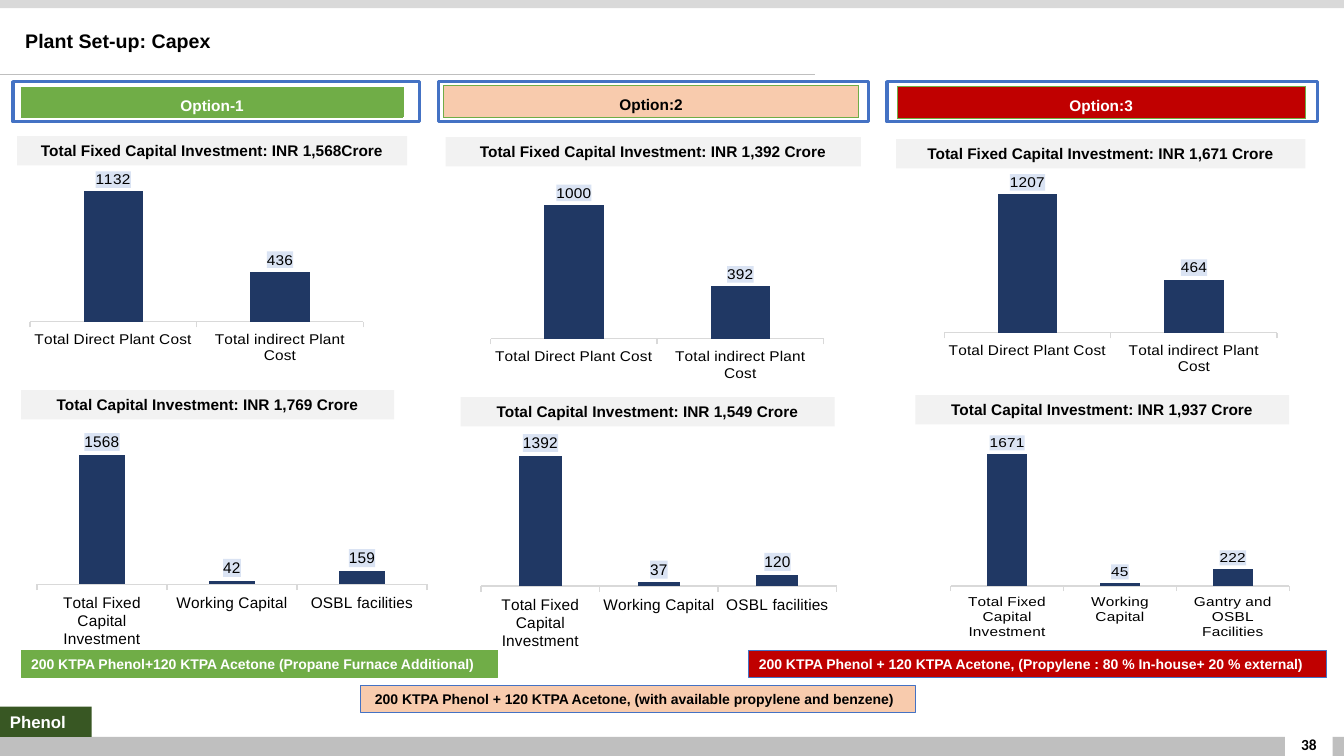
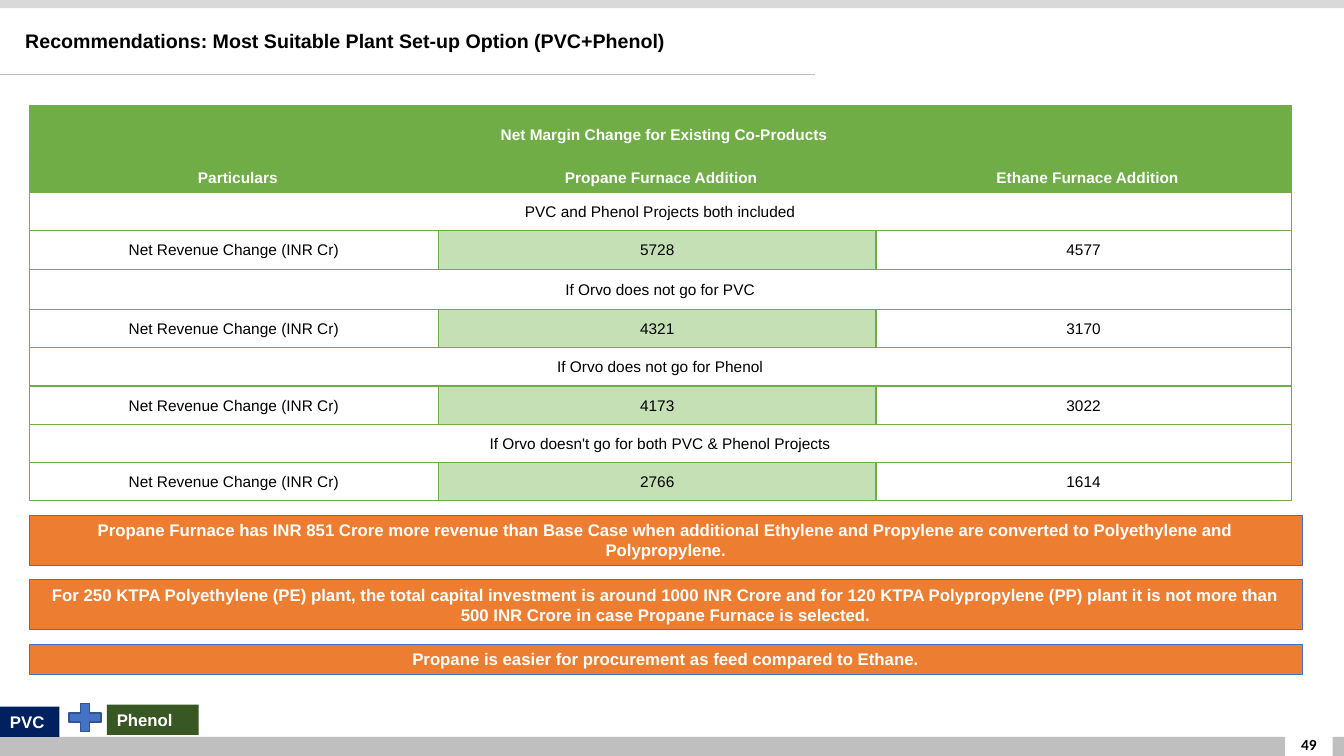
from lxml import etree
from pptx import Presentation
from pptx.chart.data import CategoryChartData
from pptx.dml.color import RGBColor
from pptx.enum.chart import XL_CHART_TYPE as CT, XL_LABEL_POSITION as LP
from pptx.enum.chart import XL_TICK_LABEL_POSITION as TLP, XL_TICK_MARK as TM
from pptx.enum.shapes import MSO_CONNECTOR, MSO_SHAPE
from pptx.enum.text import MSO_ANCHOR, MSO_AUTO_SIZE, PP_ALIGN
from pptx.oxml import parse_xml
from pptx.oxml.ns import nsdecls, qn
from pptx.util import Inches, Pt

COLS, ROWS = 133.33, 75
CELL = Inches(0.1)
FONT = "Arial"
C = {
    "black": "000000", "white": "FFFFFF", "band": "BFBFBF", "top": "D9D9D9",
    "panel": "F2F2F2", "blue": "4472C4", "blue_edge": "325491",
    "navy": "002060", "bar": "203864", "label": "DAE3F3", "green": "70AD47",
    "pale_green": "C5E0B4", "dark_green": "385723", "peach": "F8CBAD",
    "red": "C00000", "orange": "ED7D31",
}
PLANT_COST = ["Total Direct Plant Cost", "Total indirect Plant Cost"]
CAPITAL = ["Total Fixed Capital Investment", "Working Capital"]
OSBL = CAPITAL + ["OSBL facilities"]
GANTRY = CAPITAL + ["Gantry and OSBL Facilities"]
WIDE_PLOT = (0.143, 0.004, 0.718, 0.855)

OPTIONS = [
    dict(name="Option-1", fill="green", color="white",
         frame=(1.3, 8.1, 40.3, 4), tab=(2.1, 8.7, 37.9, 2.9),
         panels=[
             ("Total Fixed Capital Investment: INR 1,568Crore", (1.7, 13.5, 38.7, 2.9),
              PLANT_COST, (1132, 436), (-3.9, 17, 46.1, 19.1), (0.149, 0.021, 0.718, 0.78)),
             ("Total Capital Investment: INR 1,769 Crore", (2.1, 38.7, 37, 2.9),
              OSBL, (1568, 42, 159), (1.5, 41.5, 41.7, 24.8), (0.052, 0.07, 0.928, 0.594))]),
    dict(name="Option:2", fill="peach", color="black",
         frame=(43.5, 8.1, 42.7, 4), tab=(44, 8.5, 41.2, 3.1),
         panels=[
             ("Total Fixed Capital Investment: INR 1,392 Crore", (44.2, 13.6, 41.2, 2.9),
              PLANT_COST, (1000, 392), (42.1, 17.6, 46, 20.2), WIDE_PLOT),
             ("Total Capital Investment: INR 1,549 Crore", (45.7, 39.4, 37.1, 2.9),
              OSBL, (1392, 37, 120), (42.1, 42.8, 42.7, 21.7), (0.132, 0.023, 0.826, 0.684))]),
    dict(name="Option:3", fill="red", color="white",
         frame=(88, 8.1, 42.7, 4), tab=(89, 8.6, 40.5, 3.1),
         panels=[
             ("Total Fixed Capital Investment: INR 1,671 Crore", (88.9, 13.8, 40.6, 2.9),
              PLANT_COST, (1207, 464), (87.1, 17, 46, 20.2), WIDE_PLOT),
             ("Total Capital Investment: INR 1,937 Crore", (90.8, 39.2, 37.1, 2.9),
              GANTRY, (1671, 45, 222), (88.2, 43.2, 42.7, 20.2), (0.143, 0.003, 0.787, 0.842))]),
]
SCENARIOS = [
    ("PVC and Phenol Projects both included", "5728", "4577"),
    ("If Orvo does not go for PVC", "4321", "3170"),
    ("If Orvo does not go for Phenol", "4173", "3022"),
    ("If Orvo doesn't go for both PVC & Phenol Projects", "2766", "1614"),
]
FINDINGS = [
    ("Propane Furnace has INR 851 Crore more revenue than Base Case when additional "
     "Ethylene and Propylene are converted to Polyethylene and Polypropylene.", 5),
    ("For 250 KTPA Polyethylene (PE) plant, the total capital investment is around "
     "1000 INR Crore and for 120 KTPA Polypropylene (PP) plant it is not more than "
     "500 INR Crore in case Propane Furnace is selected.", 5),
    ("Propane is easier for procurement as feed compared to Ethane.", 3),
]


def rgb(name):
    return RGBColor.from_string(C[name])


def grid(*cells):
    return [round(n * CELL) for n in cells]


def style(font, size, color="black", bold=False, name=FONT):
    font.size, font.bold, font.name = Pt(size), bold, name
    font.color.rgb = rgb(color)


def write(tf, text, size, color="black", bold=True, align=PP_ALIGN.CENTER, name=FONT):
    tf.word_wrap = True
    p = tf.paragraphs[0]
    p.text, p.alignment = text, align
    style(p.font, size, color, bold, name)
    return p


def box(s, at, fill=None, line=None, width=0.75, shape=MSO_SHAPE.RECTANGLE):
    sp = s.shapes.add_shape(shape, *grid(*at))
    sp.shadow.inherit = False
    if fill:
        sp.fill.solid()
        sp.fill.fore_color.rgb = rgb(fill)
    else:
        sp.fill.background()
    if line:
        sp.line.color.rgb = rgb(line)
        sp.line.width = Pt(width)
    else:
        sp.line.fill.background()
    return sp


def text_box(s, at, text, size, fill, color="white", line=None,
             align=PP_ALIGN.LEFT, inset=1):
    tf = box(s, at, fill, line).text_frame
    tf.vertical_anchor = MSO_ANCHOR.TOP
    tf.margin_left = round(inset * CELL)
    write(tf, text, size, color, align=align)


def base_slide(prs, title, number):
    s = prs.slides.add_slide(prs.slide_layouts[5])
    box(s, (-0.5, 73.1, 134, 1.9), "band")
    box(s, (0, 0, 133.6, 0.8), "top")
    box(s, (127.5, 71.3, 4.7, 3.8), "white")
    tf = s.shapes.add_textbox(*grid(126.6, 71.8, 6.5, 4)).text_frame
    tf.vertical_anchor = MSO_ANCHOR.MIDDLE
    write(tf, str(number), 11, name="Calibri")
    rule = s.shapes.add_connector(MSO_CONNECTOR.STRAIGHT, *grid(0, 7.4, 80.9, 7.4))
    rule.line.color.rgb = rgb("band")
    rule.line.width = Pt(0.5)
    etree.SubElement(rule._element.spPr, qn("a:effectLst"))
    sp = s.shapes.title
    sp.left, sp.top, sp.width, sp.height = grid(1.5, 1.7, 81.1, 5)
    tf = sp.text_frame
    tf.auto_size = MSO_AUTO_SIZE.NONE
    tf.vertical_anchor = MSO_ANCHOR.MIDDLE
    write(tf, title, 14, align=PP_ALIGN.LEFT).line_spacing = 0.9
    return s


def table(s, at, cols, rows):
    tbl = s.shapes.add_table(len(rows), len(cols), *grid(*at)).table
    tbl.first_row = tbl.horz_banding = False
    for col, w in zip(tbl.columns, grid(*cols)):
        col.width = w
    for row, h in zip(tbl.rows, grid(*rows)):
        row.height = h
    return tbl


def fill_cell(cell, text, fill=None, color="black", bold=False, border=1.0,
              side=0.1, top=0.1, spaced=False, indent=0):
    cell.vertical_anchor = MSO_ANCHOR.MIDDLE
    cell.margin_left = cell.margin_right = round(side * CELL)
    cell.margin_top, cell.margin_bottom = round(top * CELL), 0
    if fill:
        cell.fill.solid()
        cell.fill.fore_color.rgb = rgb(fill)
    else:
        cell.fill.background()
    p = write(cell.text_frame, text, 11, color, bold)
    if spaced:
        p.line_spacing, p.space_after = 1.5, Pt(8)
    if indent:
        p._p.get_or_add_pPr().set("marL", str(round(indent * CELL)))
    tcPr = cell._tc.get_or_add_tcPr()
    for i, edge in enumerate("LRTB"):
        tcPr.insert(i, parse_xml(
            f'<a:ln{edge} {nsdecls("a")} w="{Pt(border)}"><a:solidFill>'
            f'<a:srgbClr val="{C["green"]}"/></a:solidFill></a:ln{edge}>'))


def set_plot_area(chart, plot):
    area = chart._chartSpace.chart.plotArea
    for old in area.findall(qn("c:layout")):
        area.remove(old)
    sizes = "".join(f'<c:{k} val="{v}"/>' for k, v in zip("xywh", plot))
    area.insert(0, parse_xml(
        f'<c:layout {nsdecls("c")}><c:manualLayout><c:layoutTarget val="inner"/>'
        f'<c:xMode val="edge"/><c:yMode val="edge"/>{sizes}'
        '</c:manualLayout></c:layout>'))


def column_chart(s, at, cats, vals, plot):
    data = CategoryChartData(number_format="0")
    data.categories = cats
    data.add_series("Series 1", vals)
    chart = s.shapes.add_chart(CT.COLUMN_CLUSTERED, *grid(*at), data).chart
    chart.has_legend = chart.has_title = False
    style(chart.font, 11)
    set_plot_area(chart, plot)
    cat, val = chart.category_axis, chart.value_axis
    cat.major_tick_mark = val.major_tick_mark = TM.OUTSIDE
    cat.format.line.color.rgb = rgb("top")
    cat.format.line.width = Pt(1)
    val.has_major_gridlines = False
    val.tick_label_position = TLP.NONE
    val.format.line.fill.background()
    bars = chart.plots[0]
    bars.gap_width = 181
    bars.vary_by_categories = False
    series = bars.series[0]
    series.format.fill.solid()
    series.format.fill.fore_color.rgb = rgb("bar")
    labels = series.data_labels
    labels.show_value = True
    labels.number_format, labels.number_format_is_linked = "0", False
    labels.position = LP.OUTSIDE_END
    style(labels.font, 11)
    labels._element.find(qn("c:txPr")).addprevious(parse_xml(
        f'<c:spPr {nsdecls("c", "a")}><a:solidFill>'
        f'<a:srgbClr val="{C["label"]}"/></a:solidFill></c:spPr>'))


def option(s, name, fill, color, frame, tab, panels):
    box(s, frame, line="blue", width=2.25)
    tbl = table(s, tab, tab[2:3], tab[3:])
    fill_cell(tbl.cell(0, 0), name, fill, color, True, 0.5, 0.7, 0, spaced=True)
    for heading, at, cats, vals, chart_at, plot in panels:
        text_box(s, at, heading, 11, "panel", "black", align=PP_ALIGN.CENTER)
        column_chart(s, chart_at, cats, vals, plot)


def capex_slide(prs):
    s = base_slide(prs, "Plant Set-up: Capex", 38)
    for opt in OPTIONS:
        option(s, **opt)
    text_box(s, (2.1, 64.5, 47.3, 2.7),
             "200 KTPA Phenol+120 KTPA Acetone (Propane Furnace Additional)",
             10, "green", line="green")
    text_box(s, (35.8, 68, 55, 2.7),
             "200 KTPA Phenol + 120 KTPA Acetone, (with available propylene and benzene)",
             10, "peach", "black", "blue", inset=1.4)
    text_box(s, (74.3, 64.5, 57.3, 2.7),
             "200 KTPA Phenol + 120 KTPA Acetone, (Propylene : 80 % In-house+ 20 % external)",
             10, "red", line="blue")
    text_box(s, (0, 70.1, 9.1, 3), "Phenol", 12, "dark_green")


def margin_table(s):
    rows = [4.8] + [3.8] * 9
    rows[4] = 4
    tbl = table(s, (2.9, 10.5, 125.2, 39.2), (40.6, 43.4, 41.2), rows)
    content = [("Net Margin Change for Existing Co-Products", "", ""),
               ("Particulars", "Propane Furnace Addition", "Ethane Furnace Addition")]
    for heading, propane, ethane in SCENARIOS:
        content += [(heading, "", ""), ("Net Revenue Change (INR Cr)", propane, ethane)]
    for r, texts in enumerate(content):
        for c, text in enumerate(texts):
            if r < 2:
                look = dict(fill="green", color="white", bold=True, spaced=True, indent=0.8)
            else:
                look = dict(fill="pale_green" if c == 1 and text else None)
            fill_cell(tbl.cell(r, c), text, **look)
        if not texts[1]:
            tbl.cell(r, 0).merge(tbl.cell(r, 2))


def recommendation_slide(prs):
    s = base_slide(prs, "Recommendations: Most Suitable Plant Set-up Option (PVC+Phenol)", 49)
    text_box(s, (10.6, 69.9, 9.1, 3), "Phenol", 12, "dark_green")
    text_box(s, (0, 70.1, 5.9, 3), "PVC", 12, "navy")
    box(s, (6.3, 69.3, 4.3, 3.8), "blue", "blue_edge", 1, MSO_SHAPE.MATH_PLUS)
    margin_table(s)
    top, gap = 51.1, 1.4
    for text, height in FINDINGS:
        text_box(s, (2.9, top, 126.3, height), text, 12, "orange",
                 line="blue", align=PP_ALIGN.CENTER)
        top += height + gap


def main():
    prs = Presentation()
    prs.slide_width, prs.slide_height = grid(COLS, ROWS)
    capex_slide(prs)
    recommendation_slide(prs)
    prs.save("out.pptx")


if __name__ == "__main__":
    main()
